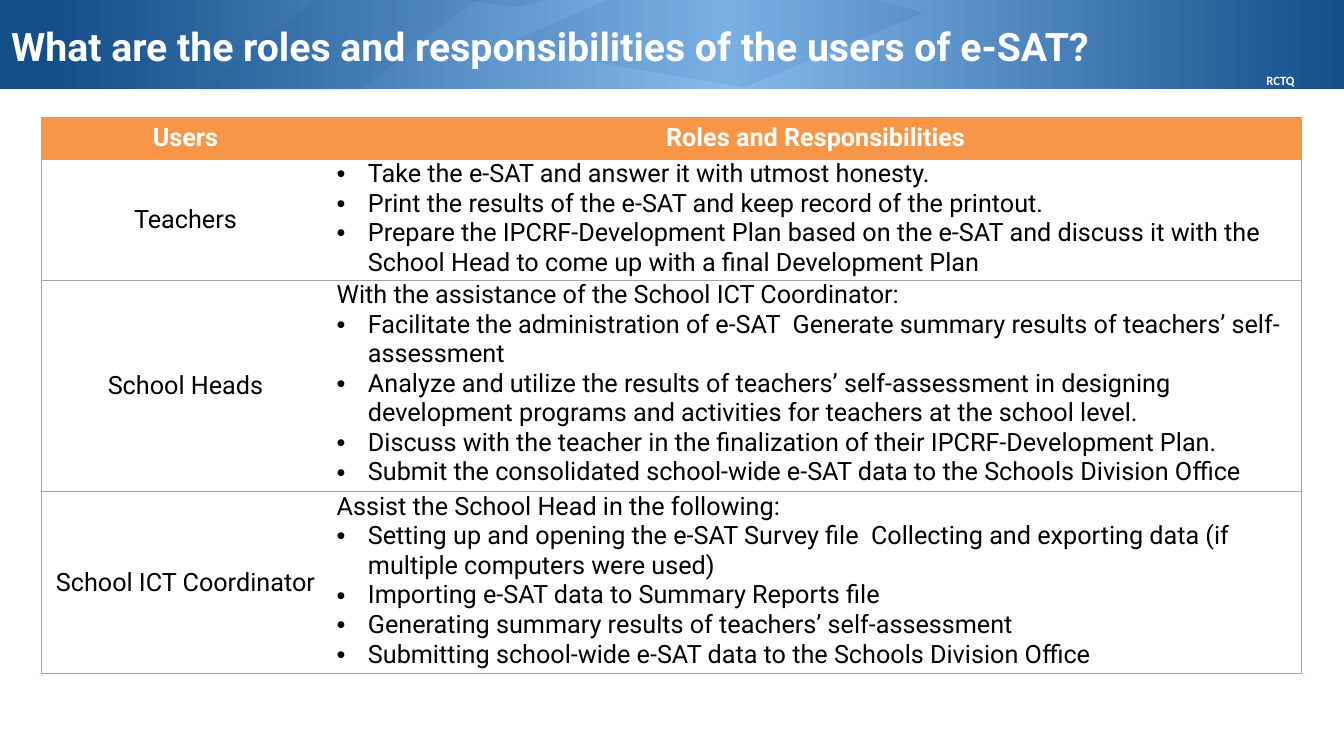
from copy import deepcopy
from lxml import etree
from pptx import Presentation
from pptx import util as u
from pptx.dml.color import RGBColor
from pptx.enum import shapes, text
from pptx.oxml import ns

NAVY, SKY, ORANGE, GREY = "144F8A", "86BAEE", "F69240", "A5A5A5"
WHITE, BLACK = "FFFFFF", "000000"
TITLE = "What are the roles and responsibilities of the users of e-SAT?"
HEADS = ["Users", "Roles and Responsibilities"]
# User, lead-in line, bulleted duties, row height
ROLES = [
    ("Teachers", "", [
        "Take the e-SAT and answer it with utmost honesty.",
        "Print the results of the e-SAT and keep record of the printout.",
        "Prepare the IPCRF-Development Plan based on the e-SAT and discuss it "
        "with the School Head to come up with a final Development Plan"], 1.2),
    ("School Heads", "With the assistance of the School ICT Coordinator:", [
        "Facilitate the administration of e-SAT  Generate summary results of "
        "teachers’ self-assessment",
        "Analyze and utilize the results of teachers’ self-assessment in "
        "designing development programs and activities for teachers at the "
        "school level.",
        "Discuss with the teacher in the finalization of their "
        "IPCRF-Development Plan.",
        "Submit the consolidated school-wide e-SAT data to the Schools "
        "Division Office"], 2.1),
    ("School ICT Coordinator", "Assist the School Head in the following:", [
        "Setting up and opening the e-SAT Survey file  Collecting and "
        "exporting data (if multiple computers were used)",
        "Importing e-SAT data to Summary Reports file",
        "Generating summary results of teachers’ self-assessment",
        "Submitting school-wide e-SAT data to the Schools Division Office"],
     1.8),
]


def tint(color, code):
    color.rgb = RGBColor.from_string(code)


def style(para, size, code, bold=False, face="Roboto", align=None):
    para.font.size, para.font.bold, para.font.name = u.Pt(size), bold, face
    tint(para.font.color, code)
    para.alignment = align


def plain(shape):
    shape.shadow.inherit = False
    shape.line.fill.background()


def facet(shape):
    """Faint navy facet laid over the band."""
    plain(shape)
    shape.fill.solid()
    tint(shape.fill.fore_color, NAVY)
    clr = shape.fill._xPr.find(".//" + ns.qn("a:srgbClr"))
    etree.SubElement(clr, ns.qn("a:alpha"), val="10000")


def banner(slide, x, y, w, h):
    # Gradient band
    band = slide.shapes.add_shape(
        shapes.MSO_SHAPE.RECTANGLE, *map(u.Inches, (x, y, w, h)))
    plain(band)
    band.fill.gradient()
    band.fill.gradient_angle = 0
    stops = band.fill._fill._gradFill.find(ns.qn("a:gsLst"))
    stops.append(deepcopy(stops[0]))
    for stop, (place, code) in zip(
            band.fill.gradient_stops, [(.04, NAVY), (.54, SKY), (1, NAVY)]):
        stop.position = place
        tint(stop.color, code)

    # Facets
    slant = slide.shapes.add_shape(
        shapes.MSO_SHAPE.PARALLELOGRAM,
        *map(u.Inches, (x + 1.96, y - 1.25, 4.41, 2.18)))
    slant.adjustments[0] = 1.29
    facet(slant)
    for pts in ([(4.99, .48), (7.08, -.43), (9.16, .16), (7.37, .9)],
                [(2.58, -.23), (4.57, -1.09), (5.85, -.06), (5.13, .1)]):
        pts = [(u.Inches(x + a), u.Inches(y + b)) for a, b in pts]
        form = slide.shapes.build_freeform(*pts[0])
        form.add_line_segments(pts[1:], close=True)
        facet(form.convert_to_shape())

    # Tag
    tag = slide.shapes.add_textbox(
        *map(u.Inches, (x + w - 1.28, y + .7, 1.3, .25))).text_frame
    tag.word_wrap = True
    tag.text = "RCTQ"
    style(tag.paragraphs[0], 9, WHITE, True, "Calibri", text.PP_ALIGN.CENTER)

    # Title, raised above the band
    title = slide.shapes.title
    slide.shapes._spTree.append(title._element)
    title.left, title.top, title.width, title.height = map(
        u.Inches, (x + .01, y + .2, 12, .67))
    title.text_frame.text = TITLE
    title.text_frame.vertical_anchor = text.MSO_ANCHOR.TOP
    style(title.text_frame.paragraphs[0], 28, WHITE, True,
          align=text.PP_ALIGN.LEFT)


def edges(cell, **codes):
    """Border colours for L, R, T and B; None hides an edge."""
    props = cell._tc.get_or_add_tcPr()
    for spot, side in enumerate("LRTB"):
        line = etree.Element(ns.qn("a:ln" + side), w=str(u.Pt(.75)))
        code = codes[side]
        if code:
            fill = etree.SubElement(line, ns.qn("a:solidFill"))
            etree.SubElement(fill, ns.qn("a:srgbClr"), val=code)
        else:
            etree.SubElement(line, ns.qn("a:noFill"))
        props.insert(spot, line)


def bullet(para):
    props = para._p.get_or_add_pPr()
    props.set("marL", str(u.Inches(.31)))
    props.set("indent", str(-u.Inches(.31)))
    etree.SubElement(props, ns.qn("a:buFont"), typeface="Arial")
    etree.SubElement(props, ns.qn("a:buChar"), char="•")


def duties(cell, lead, items):
    cell.margin_left = cell.margin_right = u.Inches(.07)
    cell.margin_top = cell.margin_bottom = 0
    lines = ([lead] if lead else []) + items
    cell.text = "\n".join(lines)
    for para, line in zip(cell.text_frame.paragraphs, lines):
        if line != lead:
            bullet(para)
        style(para, 18, BLACK)


def roster(slide, x, y, w, h):
    grid = slide.shapes.add_table(
        len(ROLES) + 1, 2, *map(u.Inches, (x, y, w, h))).table
    grid.horz_banding = False
    grid.columns[0].width = u.Inches(2.86)
    grid.columns[1].width = u.Inches(w - 2.86)
    tall = [.41] + [role[-1] for role in ROLES]
    last = len(ROLES)

    # Fills and borders
    for r, size in enumerate(tall):
        grid.rows[r].height = u.Inches(size)
        for c in range(2):
            cell = grid.cell(r, c)
            cell.fill.solid()
            tint(cell.fill.fore_color, WHITE if r else "F79646")
            edges(cell, L=None if c else ORANGE, R=ORANGE if c else None,
                  T=GREY if r > 1 else ORANGE,
                  B=GREY if 0 < r < last else ORANGE)

    # Header row
    for c, head in enumerate(HEADS):
        cell = grid.cell(0, c)
        cell.text = head
        style(cell.text_frame.paragraphs[0], 18, WHITE, True,
              align=text.PP_ALIGN.CENTER)

    # Users and their duties
    for r, (user, lead, items, _) in enumerate(ROLES, 1):
        cell = grid.cell(r, 0)
        cell.text = user
        cell.vertical_anchor = text.MSO_ANCHOR.MIDDLE
        style(cell.text_frame.paragraphs[0], 18, BLACK,
              align=text.PP_ALIGN.CENTER)
        duties(grid.cell(r, 1), lead, items)


def main():
    deck = Presentation()
    deck.slide_width, deck.slide_height = u.Inches(13.33), u.Inches(7.5)
    slide = deck.slides.add_slide(deck.slide_layouts[5])
    banner(slide, 0, -.03, 13.33, .91)
    roster(slide, .41, 1.17, 12.5, 5.51)
    deck.save("out.pptx")


if __name__ == "__main__":
    main()
